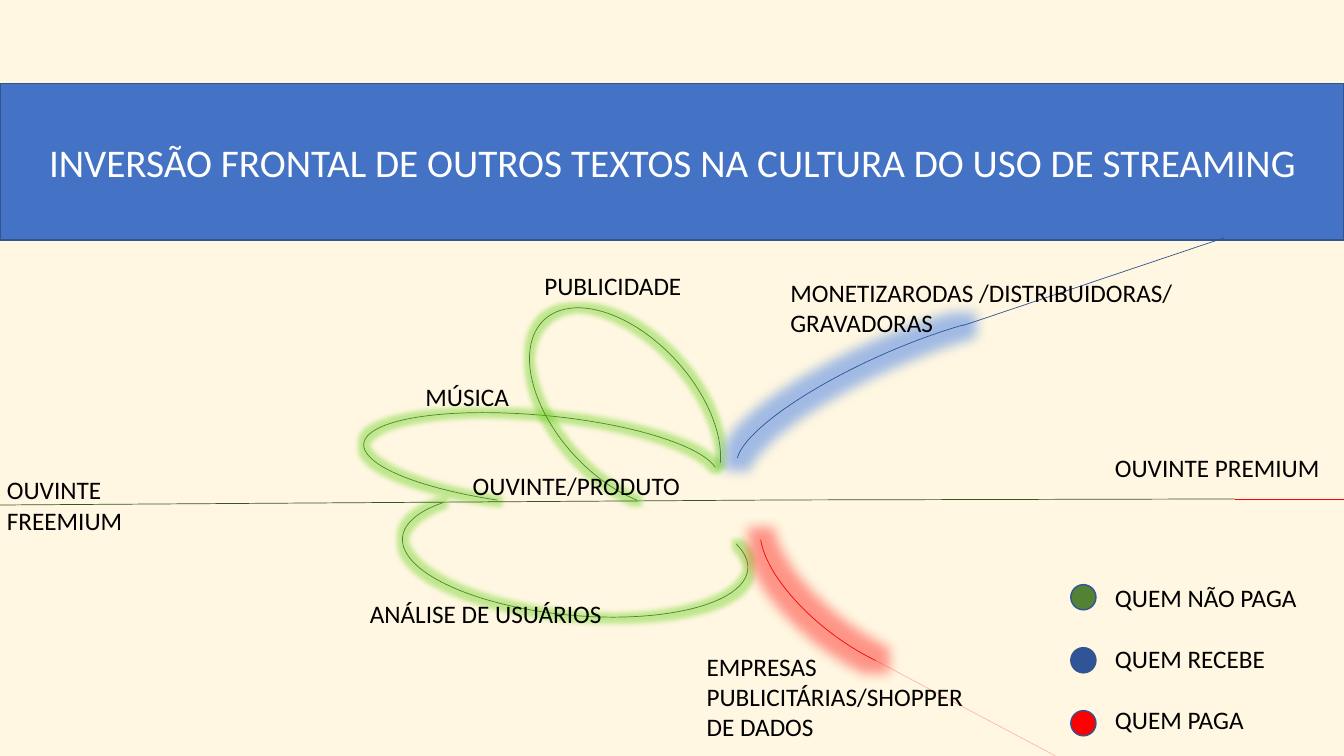
"""Build the slide on the frontal inversion of texts in streaming culture."""
from lxml import etree
from pptx import Presentation
from pptx import util as u
from pptx.dml.color import RGBColor
from pptx.enum import shapes, text
from pptx.oxml.ns import qn

W, H = 13.33, 7.5
GREEN, BLUE, RED, NAVY, DARK = "548235", "2F5597", "FF0000", "325491", "385723"


def rgb(value):
    return RGBColor.from_string(value)


def add_alpha(color, percent):
    etree.SubElement(color, qn("a:alpha")).set("val", str(percent * 1000))


prs = Presentation()
prs.slide_width, prs.slide_height = u.Inches(W), u.Inches(H)
s = prs.slides.add_slide(prs.slide_layouts[5])
s.background.fill.solid()
s.background.fill.fore_color.rgb = rgb("FFF7E1")

title = s.shapes.title
box = {"left": 0, "top": 0.83, "width": W, "height": 1.55}
for name, value in box.items():
    setattr(title, name, u.Inches(value))
title.fill.solid()
title.fill.fore_color.rgb = rgb("4472C4")
title.line.color.rgb = rgb(NAVY)
title.line.width = u.Pt(1)
tf = title.text_frame
tf.text = "INVERSÃO FRONTAL DE OUTROS TEXTOS NA CULTURA DO USO DE STREAMING"
frame = {"word_wrap": True, "auto_size": text.MSO_AUTO_SIZE.NONE,
         "vertical_anchor": text.MSO_ANCHOR.MIDDLE}
for name, value in frame.items():
    setattr(tf, name, value)
p = tf.paragraphs[0]
p.alignment = text.PP_ALIGN.CENTER
p.font.name, p.font.size = "Calibri", u.Pt(28)
p.font.color.rgb = rgb("FFFFFF")

arcs = [
    ((5.09, 3.77, 1.23, 3.44), 275.3, "", (48.791, 171.329), GREEN, "60D010", 7),
    ((4.92, 2.8, 0.89, 3.53), 275.3, "H", (55.754, 190.639), GREEN, "60D010", 7),
    ((5.51, 2.86, 1.38, 2.37), 317.6, "H", (64.517, 32.939), GREEN, "60D010", 7),
    ((8.48, 2.17, 0.88, 3.51), 246, "HV", (55.754, 147.69), BLUE, "1560E8", 18),
    ((8.03, 4.65, 1.04, 2.42), 307.5, "HV", (186.921, 47.526), RED, RED, 18),
]
for place, turn, flips, angles, color, halo, radius in arcs:
    sp = s.shapes.add_shape(shapes.MSO_SHAPE.ARC, *map(u.Inches, place))
    sp.rotation = turn
    sp.adjustments[0], sp.adjustments[1] = angles
    sp.fill.background()
    sp.line.color.rgb = rgb(color)
    sp.line.width = u.Pt(0.5)
    sp.shadow.inherit = False
    props = sp._element.spPr
    for axis in flips:
        props.find(qn("a:xfrm")).set("flip" + axis, "1")
    glow = etree.SubElement(props.find(qn("a:effectLst")), qn("a:glow"))
    glow.set("rad", str(u.Pt(radius)))
    tint = etree.SubElement(glow, qn("a:srgbClr"))
    tint.set("val", halo)
    add_alpha(tint, 40)

lines = [
    ((0, 5.01), (7.78, 4.96), DARK, 100),
    ((7.78, 4.96), (12.25, 4.95), DARK, 100),
    ((12.25, 4.95), (W, 4.95), RED, 100),
    ((9.55, 3.23), (12.14, 2.36), BLUE, 100),
    ((8.68, 6.55), (10.47, H), RED, 25),
]
for start, end, color, opacity in lines:
    sp = s.shapes.add_connector(shapes.MSO_CONNECTOR.STRAIGHT, *map(u.Inches, start + end))
    sp.line.color.rgb = rgb(color)
    sp.line.width = u.Pt(0.5)
    props = sp._element.spPr
    if opacity < 100:
        add_alpha(props.find(".//" + qn("a:srgbClr")), opacity)
    etree.SubElement(props, qn("a:effectLst"))

for row, (color, edge) in enumerate([(GREEN, BLUE), (BLUE, NAVY), (RED, NAVY)]):
    place = (10.62, 5.8 + row * 0.625, 0.25, 0.25)
    sp = s.shapes.add_shape(shapes.MSO_SHAPE.OVAL, *map(u.Inches, place))
    sp.fill.solid()
    sp.fill.fore_color.rgb = rgb(color)
    sp.line.color.rgb = rgb(edge)
    sp.line.width = u.Pt(1)
    sp.shadow.inherit = False

labels = [
    ((-0.03, 4.66, 2.17, 0.71), "OUVINTE FREEMIUM"),
    ((10.96, 4.44, 2.37, 0.4), "OUVINTE PREMIUM"),
    ((4.12, 3.73, 1.04, 0.4), "MÚSICA"),
    ((5.3, 2.63, 1.57, 0.4), "PUBLICIDADE"),
    ((3.57, 5.89, 2.66, 0.4), "ANÁLISE DE USUÁRIOS"),
    ((6.91, 6.41, 2.87, 1.01), "EMPRESAS PUBLICITÁRIAS/SHOPPER DE DADOS"),
    ((7.74, 2.7, 4.02, 0.71), "MONETIZARODAS /DISTRIBUIDORAS/\vGRAVADORAS"),
    ((4.59, 4.62, 2.38, 0.4), "OUVINTE/PRODUTO"),
    ((10.96, 5.73, 2.37, 1.62), "QUEM NÃO PAGA\nQUEM RECEBE\nQUEM PAGA"),
]
for place, words in labels:
    tf = s.shapes.add_textbox(*map(u.Inches, place)).text_frame
    tf.word_wrap = True
    tf.text = words
    for i, p in enumerate(tf.paragraphs):
        if i:
            p.space_before = u.Pt(22)
        p.font.name, p.font.size = "Calibri", u.Pt(18)
        p.font.color.rgb = rgb("000000")

prs.save("out.pptx")
